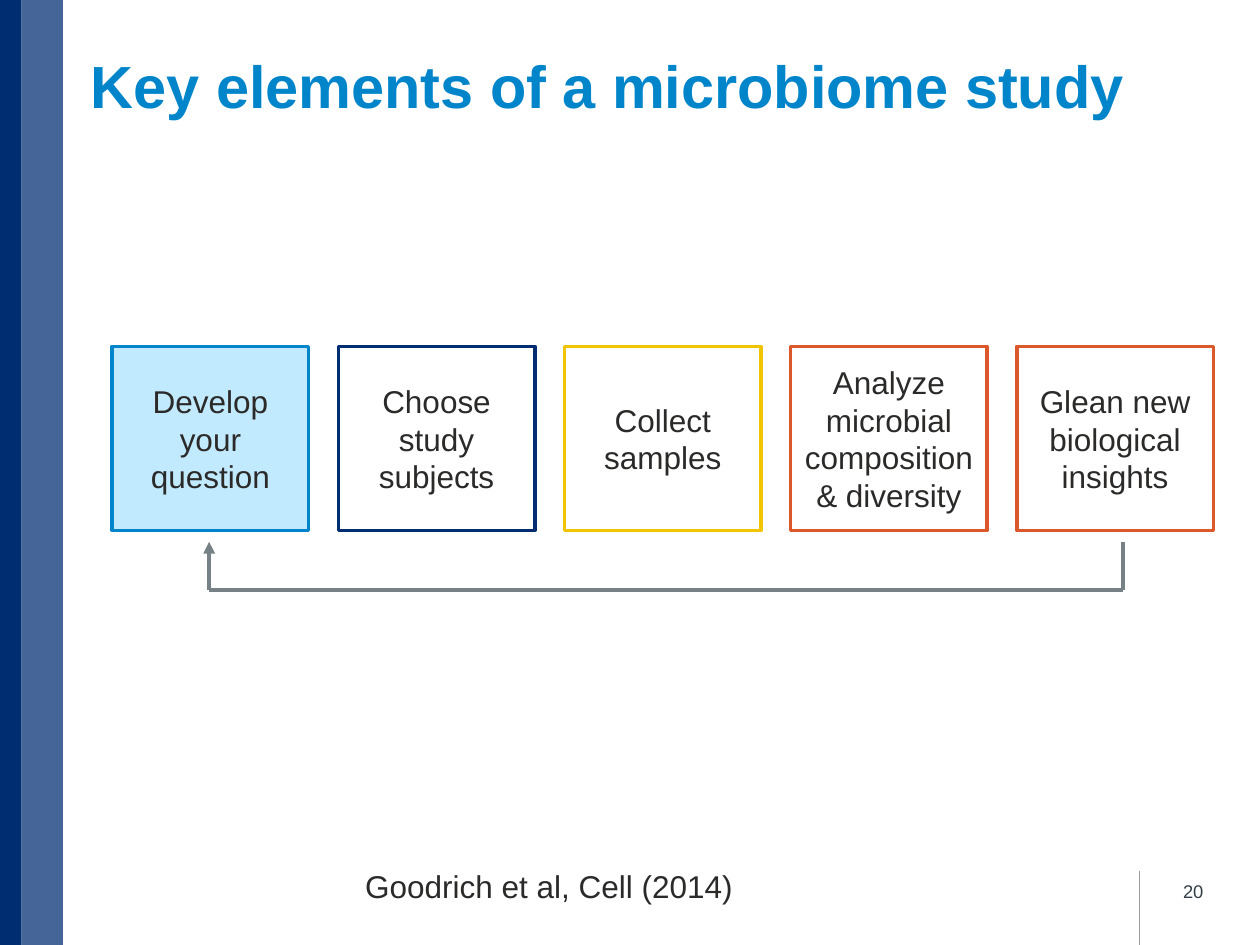
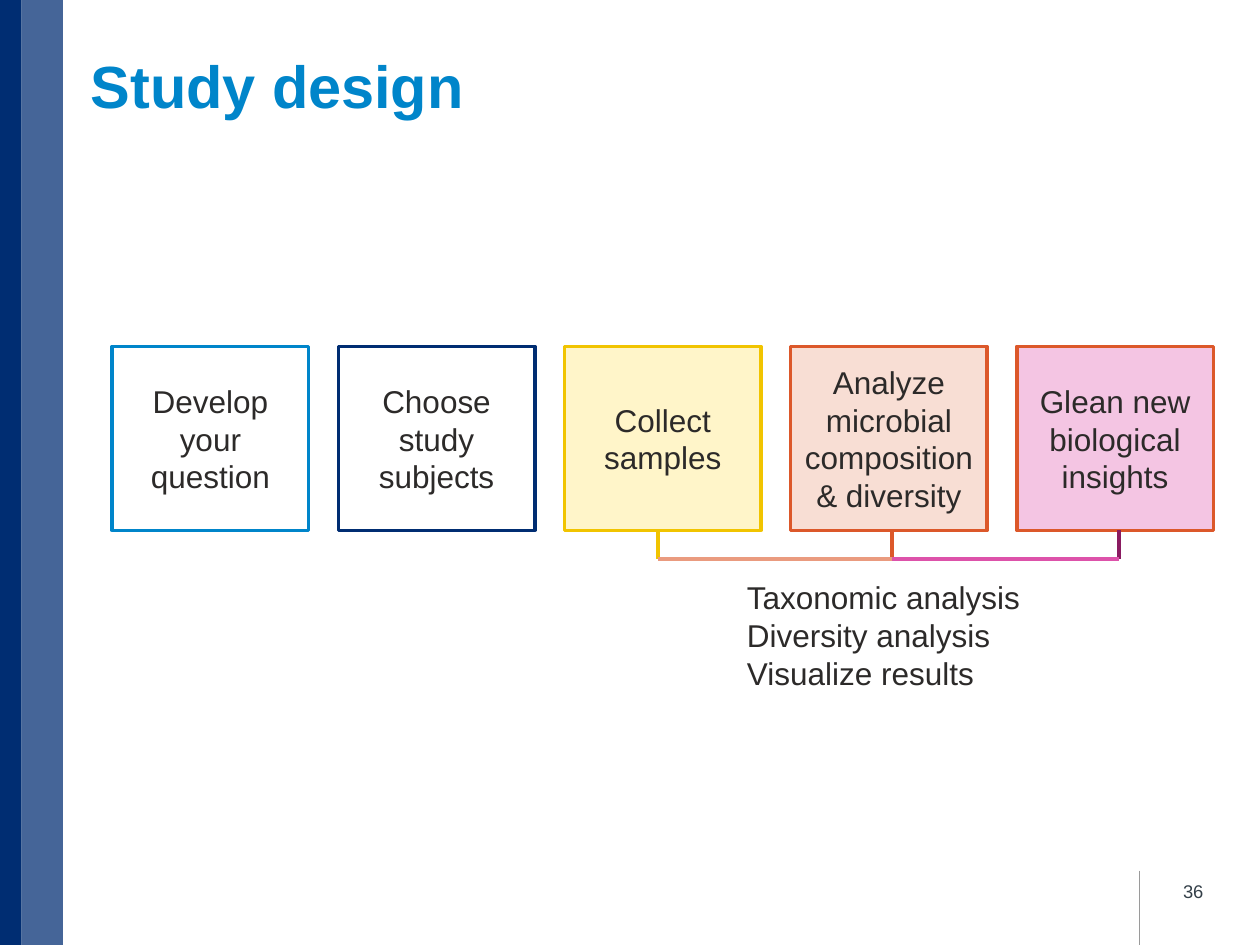
from lxml import etree
from pptx import Presentation, util as u
from pptx.dml.color import RGBColor
from pptx.enum import shapes, text
from pptx.oxml.ns import qn

# Palette
BLUE = RGBColor(0x00, 0x85, 0xCA)
NAVY = RGBColor(0x00, 0x2D, 0x72)
YELLOW = RGBColor(0xF1, 0xC4, 0x00)
ORANGE = RGBColor(0xDC, 0x58, 0x2A)
SALMON = RGBColor(0xEA, 0x9B, 0x7F)
PINK = RGBColor(0xDD, 0x52, 0xAA)
PLUM = RGBColor(0x8A, 0x1B, 0x61)
GREY = RGBColor(0x76, 0x81, 0x86)
RULE = RGBColor(0x9A, 0x9A, 0x9A)
INK = RGBColor(0x2C, 0x2A, 0x29)
SLATE = RGBColor(0x33, 0x3F, 0x48)
PALE_BLUE = RGBColor(0xC1, 0xEA, 0xFF)
PALE_YELLOW = RGBColor(0xFF, 0xF5, 0xC9)
PALE_ORANGE = RGBColor(0xF8, 0xDE, 0xD4)
PALE_PINK = RGBColor(0xF4, 0xC5, 0xE3)

FONT = "Arial"
COLS, ROWS = 100, 75

# Study steps, all in one row of equal boxes
STEPS = [
    ("Develop your question", BLUE),
    ("Choose study subjects", NAVY),
    ("Collect samples", YELLOW),
    ("Analyze microbial composition & diversity", ORANGE),
    ("Glean new biological insights", ORANGE),
]
STEP_LEFT, STEP_TOP, STEP_PITCH = 8.9, 27.5, 17.95
STEP_WIDTH, STEP_HEIGHT = 15.6, 14.6
STEP_BOTTOM = STEP_TOP + STEP_HEIGHT


class Deck:
    """Holds the style and the current slide; lengths are grid columns and rows."""

    def __init__(self):
        self.prs = Presentation()
        self.prs.slide_width, self.prs.slide_height = u.Inches(10), u.Inches(7.5)
        self.s = None

    def x(self, cols):
        return round(self.prs.slide_width * cols / COLS)

    def y(self, rows):
        return round(self.prs.slide_height * rows / ROWS)

    def area(self, left, top, width, height):
        return self.x(left), self.y(top), self.x(width), self.y(height)

    def set_text(self, sp, lines, size=18, color=INK, bold=False,
                 align=text.PP_ALIGN.LEFT, anchor=text.MSO_ANCHOR.TOP):
        tf = sp.text_frame
        tf.word_wrap = True
        tf.auto_size = text.MSO_AUTO_SIZE.NONE
        tf.vertical_anchor = anchor
        for i, line in enumerate(lines):
            p = tf.add_paragraph() if i else tf.paragraphs[0]
            p.alignment = align
            r = p.add_run()
            r.text = line
            r.font.name, r.font.size, r.font.bold = FONT, u.Pt(size), bold
            r.font.color.rgb = color

    def label(self, at, lines, **style):
        self.set_text(self.s.shapes.add_textbox(*self.area(*at)), lines, **style)

    def box(self, at, fill=None, line=None, alpha=None):
        sp = self.s.shapes.add_shape(shapes.MSO_SHAPE.RECTANGLE, *self.area(*at))
        sp.shadow.inherit = False
        if fill is None:
            sp.fill.background()
        else:
            sp.fill.solid()
            sp.fill.fore_color.rgb = fill
        if alpha is not None:
            clr = sp._element.spPr.find(qn("a:solidFill")).find(qn("a:srgbClr"))
            etree.SubElement(clr, qn("a:alpha"), val=str(alpha * 1000))
        if line is None:
            sp.line.fill.background()
        else:
            sp.line.color.rgb, sp.line.width = line, u.Pt(2)
        return sp

    def line(self, x1, y1, x2, y2, color, width=2.25, arrow=False):
        c = self.s.shapes.add_connector(
            shapes.MSO_CONNECTOR.STRAIGHT,
            self.x(x1), self.y(y1), self.x(x2), self.y(y2))
        c.line.color.rgb, c.line.width = color, u.Pt(width)
        spPr = c._element.spPr
        if arrow:
            etree.SubElement(spPr.find(qn("a:ln")), qn("a:tailEnd"), type="triangle")
        etree.SubElement(spPr, qn("a:effectLst"))

    def slide(self, title, number):
        self.s = self.prs.slides.add_slide(self.prs.slide_layouts[5])
        # Side bands and footer
        self.line(90.4, 69.1, 90.4, ROWS, RULE, width=0.25)
        self.box((0, 0, 1.7, ROWS), fill=NAVY)
        self.box((1.7, 0, 3.3, ROWS), fill=NAVY, alpha=73)
        self.label((73.2, 68.7, 23.3, 4), [number], size=10.5, color=SLATE,
                   align=text.PP_ALIGN.RIGHT, anchor=text.MSO_ANCHOR.MIDDLE)
        # Title
        sp = self.s.shapes.title
        sp.left, sp.top, sp.width, sp.height = self.area(7.2, -2.4, 95.2, 12.5)
        sp.text_frame.margin_left = 0
        self.set_text(sp, [title], size=34, color=BLUE, bold=True,
                      anchor=text.MSO_ANCHOR.BOTTOM)

    def steps(self, fills):
        """Draw the row of steps; fills maps a step's index to its highlight."""
        for i, (name, color) in enumerate(STEPS):
            at = (STEP_LEFT + i * STEP_PITCH, STEP_TOP, STEP_WIDTH, STEP_HEIGHT)
            sp = self.box(at, fill=fills.get(i), line=color)
            self.set_text(sp, [name], align=text.PP_ALIGN.CENTER,
                          anchor=text.MSO_ANCHOR.MIDDLE)


def main():
    deck = Deck()

    # Key elements, with a loop from the last step to the first
    deck.slide("Key elements of a microbiome study", "20")
    deck.label((28, 68.3, 31.5, 4), ["Goodrich et al, Cell (2014)"])
    deck.steps({0: PALE_BLUE})
    first, last, near, far = 16.6, 89.1, 43, 46.8
    deck.line(last, near, last, far, GREY)
    deck.line(last, far, first, far, GREY)
    deck.line(first, far, first, near, GREY, arrow=True)

    # Study design, with a bracket under the last three steps
    deck.slide("Study design", "36")
    deck.steps({2: PALE_YELLOW, 3: PALE_ORANGE, 4: PALE_PINK})
    stems = [(52.2, YELLOW), (70.8, ORANGE), (88.8, PLUM)]
    bracket = STEP_BOTTOM + 2.3
    for x, color in stems:
        deck.line(x, STEP_BOTTOM, x, bracket, color)
    for (x1, _), (x2, _), color in zip(stems, stems[1:], (SALMON, PINK)):
        deck.line(x1, bracket, x2, bracket, color)
    deck.label((58.3, 45.4, 23.9, 13.1),
               ["Taxonomic analysis", "Diversity analysis", "Visualize results"])

    deck.prs.save("out.pptx")


if __name__ == "__main__":
    main()
